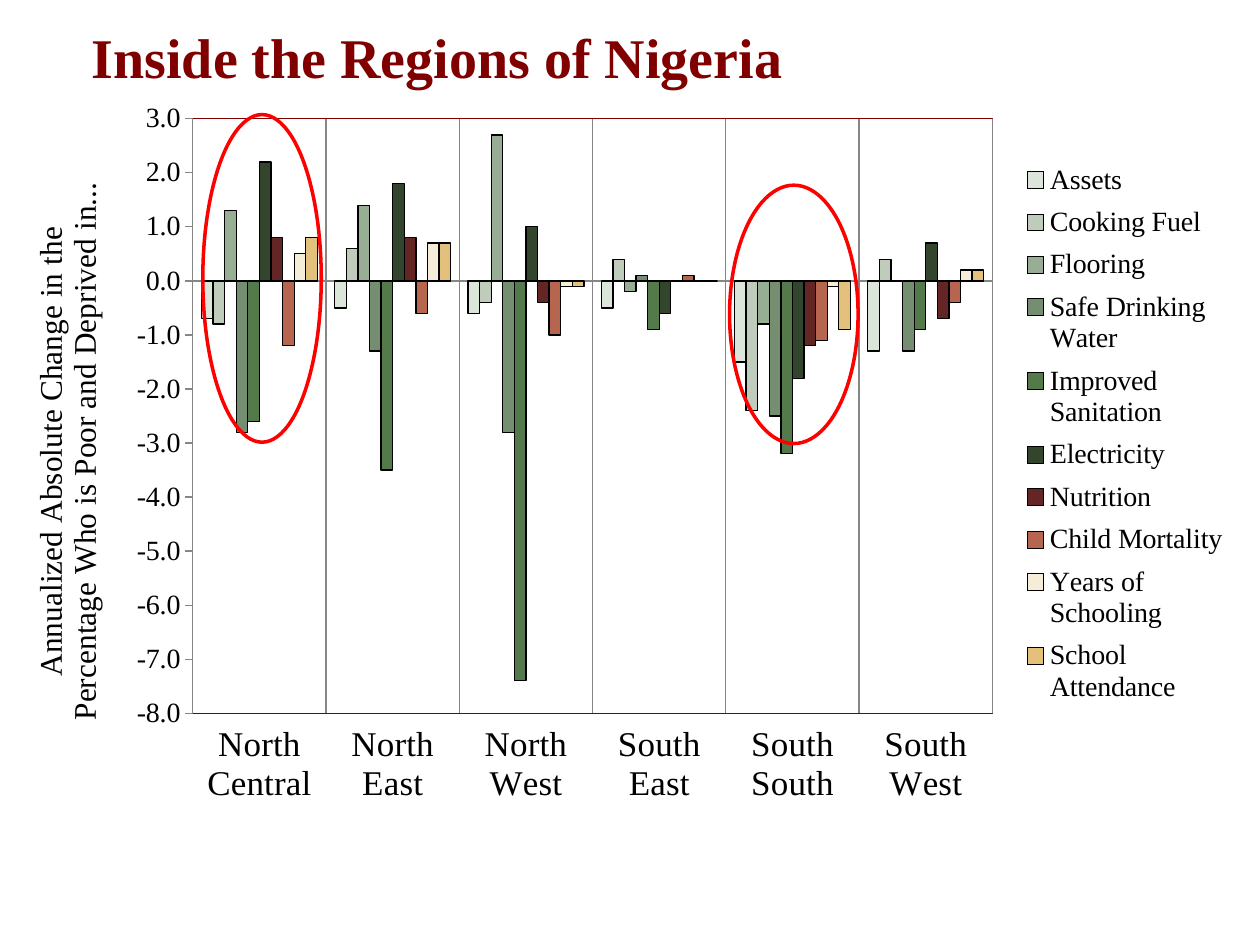
"""Build the slide on changes in deprivation inside the regions of Nigeria."""
from lxml import etree
from pptx import Presentation
from pptx.chart.data import CategoryChartData
from pptx.dml.color import RGBColor
from pptx.enum.chart import XL_CHART_TYPE, XL_LEGEND_POSITION, XL_TICK_LABEL_POSITION, XL_TICK_MARK
from pptx.enum.shapes import MSO_SHAPE
from pptx.oxml import parse_xml
from pptx.oxml.ns import nsdecls, qn
from pptx.util import Inches, Pt

CLUSTERED = XL_CHART_TYPE.COLUMN_CLUSTERED
LEGEND_RIGHT = XL_LEGEND_POSITION.RIGHT
LABELS_LOW = XL_TICK_LABEL_POSITION.LOW
TICK_OUT, TICK_NONE = XL_TICK_MARK.OUTSIDE, XL_TICK_MARK.NONE
ELLIPSE = MSO_SHAPE.OVAL
FONT = "Times New Roman"
COLORS = {"title": "800000", "frame": "800000", "text": "000000", "axis": "868686", "ring": "FF0000"}
REGIONS = ["North Central", "North East", "North West", "South East", "South South", "South West"]
INDICATORS = [
    ("Assets", "DCE5D9", (-0.7, -0.5, -0.6, -0.5, -1.5, -1.3)),
    ("Cooking Fuel", "BFCCBC", (-0.8, 0.6, -0.4, 0.4, -2.4, 0.4)),
    ("Flooring", "97AE95", (1.3, 1.4, 2.7, -0.2, -0.8, 0)),
    ("Safe Drinking Water", "758E71", (-2.8, -1.3, -2.8, 0.1, -2.5, -1.3)),
    ("Improved Sanitation", "54794B", (-2.6, -3.5, -7.4, -0.9, -3.2, -0.9)),
    ("Electricity", "33452C", (2.2, 1.8, 1, -0.6, -1.8, 0.7)),
    ("Nutrition", "642624", (0.8, 0.8, -0.4, 0, -1.2, -0.7)),
    ("Child Mortality", "B6664F", (-1.2, -0.6, -1, 0.1, -1.1, -0.4)),
    ("Years of Schooling", "F5EDD7", (0.5, 0.7, -0.1, 0, -0.1, 0.2)),
    ("School Attendance", "E3C17D", (0.8, 0.7, -0.1, 0, -0.9, 0.2)),
]


def style_font(font, *, size, color="text", bold=False):
    font.name, font.size, font.bold = FONT, Pt(size), bold
    font.color.rgb = RGBColor.from_string(COLORS[color])


def place_part(part, index, *, target=None, **shares):
    for old in part.findall(qn("c:layout")):
        part.remove(old)
    layout = parse_xml(f"<c:layout {nsdecls('c')}><c:manualLayout/></c:layout>")
    settings = [("layoutTarget", target)] if target else []
    settings += [("xMode", "edge"), ("yMode", "edge"), *shares.items()]
    for tag, value in settings:
        etree.SubElement(layout[0], qn(f"c:{tag}")).set("val", str(value))
    part.insert(index, layout)


deck = Presentation()
deck.slide_width, deck.slide_height = Inches(10), Inches(7.5)
page = deck.slides.add_slide(deck.slide_layouts[6])

box = page.shapes.add_textbox(Inches(0.63), Inches(0.13), Inches(9.17), Inches(0.64))
box.text_frame.word_wrap = True
span = box.text_frame.paragraphs[0].add_run()
span.text = "Inside the Regions of Nigeria"
style_font(span.font, size=32, color="title", bold=True)

data = CategoryChartData(number_format="0.0")
data.categories = REGIONS
for name, color, values in INDICATORS:
    data.add_series(name, values)
chart = page.shapes.add_chart(
    CLUSTERED, 0, Inches(0.77), Inches(9.81), Inches(5.61), data).chart
chart.has_title = False
style_font(chart.font, size=16)

plot = chart.plots[0]
plot.gap_width, plot.overlap, plot.vary_by_categories = 150, 0, False
for series, (name, color, values) in zip(plot.series, INDICATORS):
    series.invert_if_negative = False
    series.format.fill.solid()
    series.format.fill.fore_color.rgb = RGBColor.from_string(color)
    series.format.line.color.rgb = RGBColor.from_string(COLORS["text"])
    series.format.line.width = Pt(0.75)

regions, change = chart.category_axis, chart.value_axis
regions.tick_label_position = LABELS_LOW
regions.has_major_gridlines, change.has_major_gridlines = True, False
change.minimum_scale, change.maximum_scale, change.major_unit = -8, 3, 1
change.tick_labels.number_format = "0.0"
change.tick_labels.number_format_is_linked = False
for axis, size, tick in ((regions, 20, TICK_NONE), (change, 16, TICK_OUT)):
    axis.major_tick_mark, axis.minor_tick_mark = tick, TICK_NONE
    style_font(axis.tick_labels.font, size=size)
for line in (regions.format.line, change.format.line, regions.major_gridlines.format.line):
    line.color.rgb = RGBColor.from_string(COLORS["axis"])
    line.width = Pt(0.75)

frame = change.axis_title.text_frame
span = frame.paragraphs[0].add_run()
span.text = "Annualized Absolute Change in the Percentage Who is Poor and Deprived in..."
style_font(span.font, size=18)
title = change.axis_title._element
turn = title.find(".//" + qn("a:bodyPr"))
turn.set("rot", "-5400000")
turn.set("vert", "horz")
place_part(title, 1, x=0.02, y=0.12)

chart.has_legend = True
chart.legend.position = LEGEND_RIGHT
chart.legend.include_in_layout = False
style_font(chart.legend.font, size=16)
place_part(chart.legend._element, 1, x=0.82, y=0.08, w=0.18, h=0.8)

area = chart._chartSpace.find(".//" + qn("c:plotArea"))
place_part(area, 0, target="inner", x=0.156, y=0.031, w=0.647, h=0.848)
area.append(parse_xml(
    f"<c:spPr {nsdecls('c', 'a')}><a:noFill/><a:ln w='9525'><a:solidFill>"
    f"<a:srgbClr val='{COLORS['frame']}'/></a:solidFill></a:ln></c:spPr>"))

for left, top, width, height in ((5.79, 1.47, 1.02, 2.05), (1.61, 0.91, 0.94, 2.6)):
    ring = page.shapes.add_shape(
        ELLIPSE, Inches(left), Inches(top), Inches(width), Inches(height))
    ring.shadow.inherit = False
    ring.fill.background()
    ring.line.color.rgb = RGBColor.from_string(COLORS["ring"])
    ring.line.width = Pt(2)

deck.save("out.pptx")
